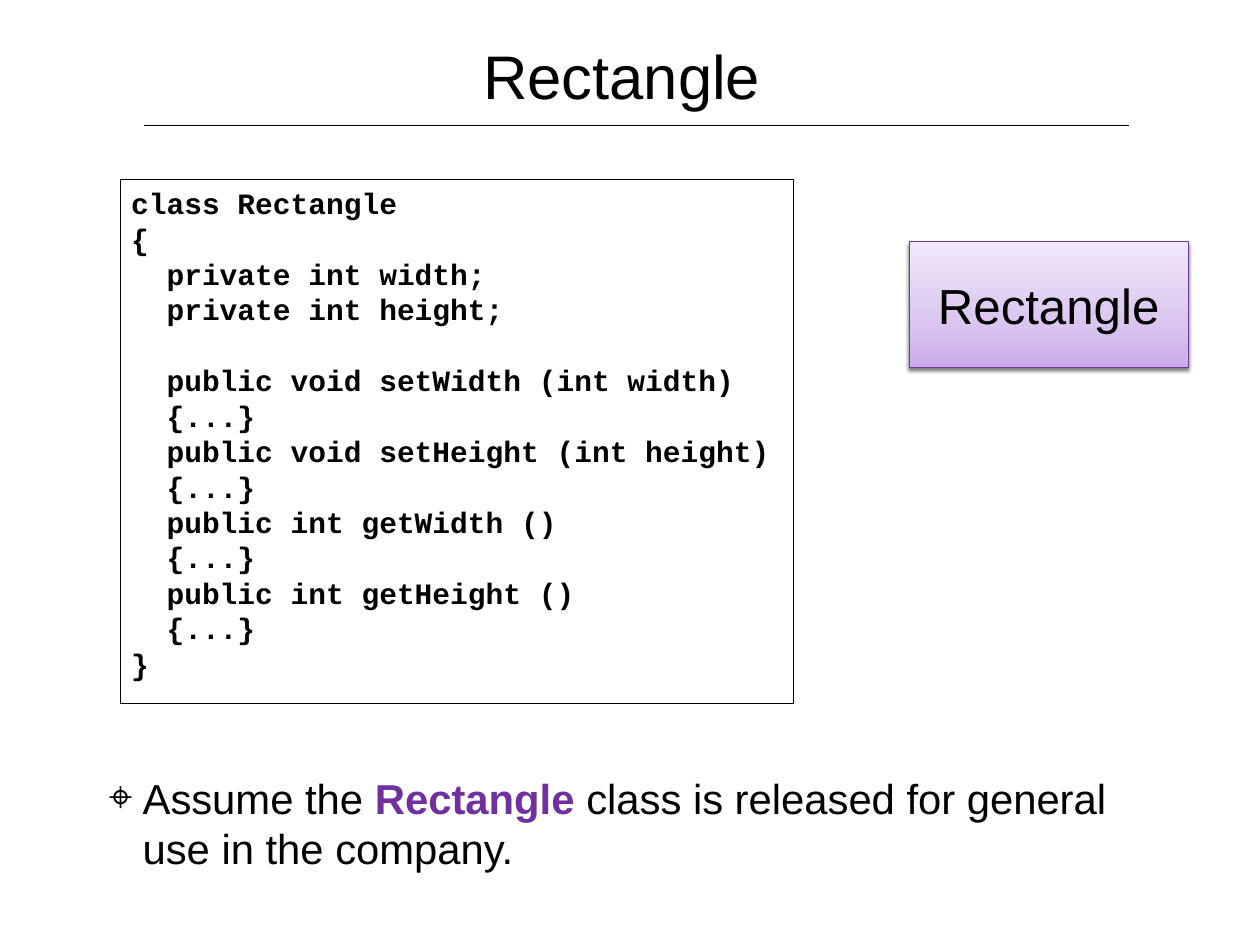
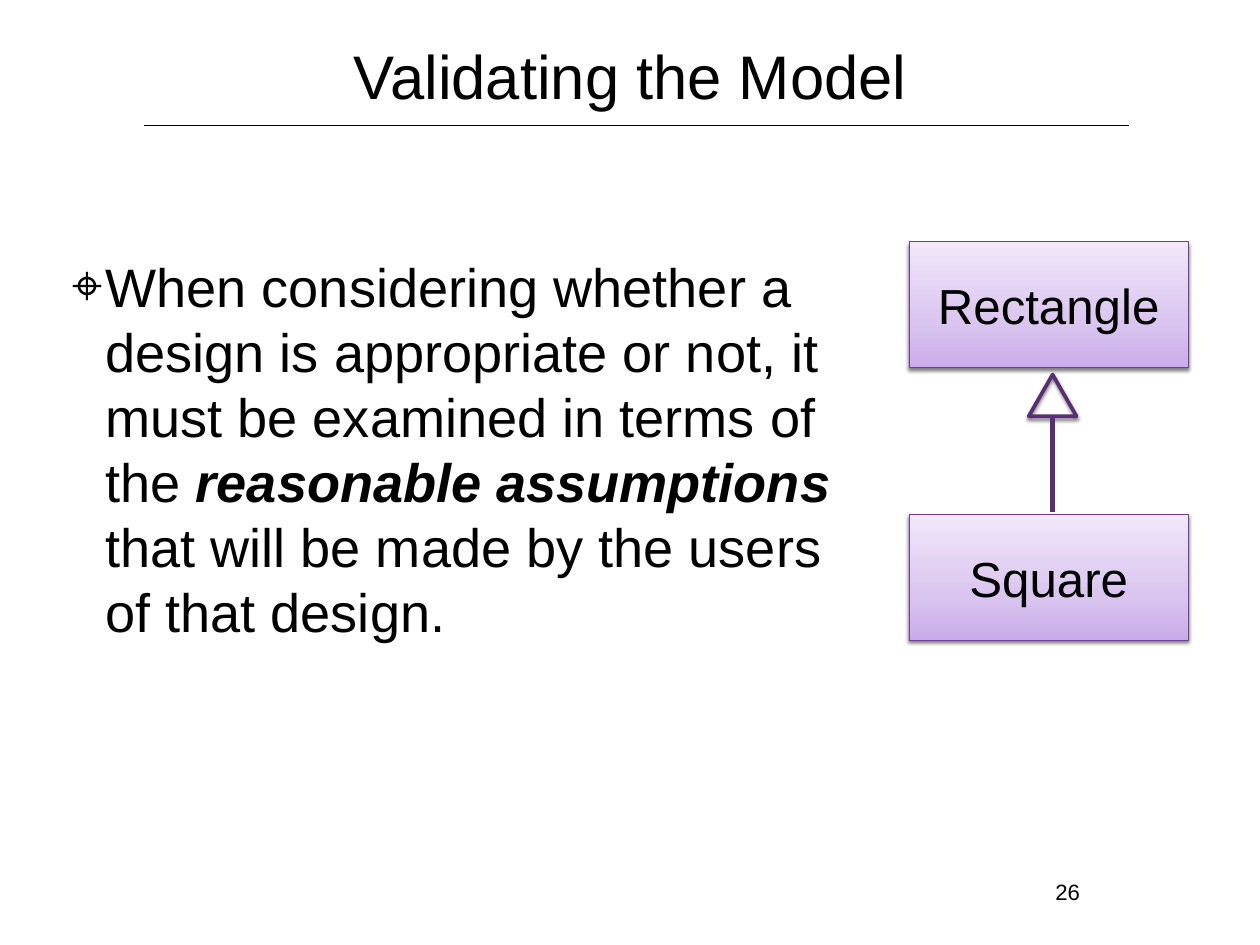
"""Two slides on a Rectangle class and on validating its design."""
from copy import deepcopy
from dataclasses import dataclass

from lxml.etree import SubElement
from pptx import Presentation
from pptx.dml.color import RGBColor
from pptx.enum.shapes import MSO_CONNECTOR, MSO_SHAPE
from pptx.enum.text import MSO_ANCHOR, MSO_AUTO_SIZE, PP_ALIGN
from pptx.oxml.ns import qn
from pptx.util import Inches, Pt


@dataclass(frozen=True)
class Theme:
    text_font: str = "Arial"
    code_font: str = "Courier New"
    black: RGBColor = RGBColor(0, 0, 0)
    accent: RGBColor = RGBColor.from_string("7030A0")
    class_border: RGBColor = RGBColor.from_string("753B9A")
    arrow: RGBColor = RGBColor.from_string("592F74")
    class_stops: tuple = ((0, "CAABEA"), (0.35, "D9C5EF"), (1, "F1E8FA"))
    title_size: int = 50
    class_size: int = 40
    code_size: int = 24
    number_size: int = 18
    line_factor: float = 1.2
    inset: float = 0.06


theme = Theme()


def format_text(frame, size, font=theme.text_font, align=PP_ALIGN.LEFT, bullet=None):
    frame.margin_left = frame.margin_right = Inches(theme.inset)
    frame.margin_top = frame.margin_bottom = Inches(theme.inset)
    frame.word_wrap = True
    frame.auto_size = MSO_AUTO_SIZE.NONE
    for paragraph in frame.paragraphs:
        if bullet:
            properties = paragraph._p.get_or_add_pPr()
            properties.set("marL", str(Inches(0.42)))
            properties.set("indent", str(Inches(-0.38)))
            bullet_color = SubElement(properties, qn("a:buClr"))
            SubElement(bullet_color, qn("a:srgbClr"), val=str(theme.black))
            SubElement(properties, qn("a:buChar"), char=bullet)
        paragraph.alignment = align
        paragraph.space_before = Pt(0)
        paragraph.line_spacing = Pt(size * theme.line_factor)
        paragraph.font.name = font
        paragraph.font.size = Pt(size)
        paragraph.font.color.rgb = theme.black


def add_shadow(shape):
    shape.shadow.inherit = False
    effects = shape.element.spPr.find(qn("a:effectLst"))
    shadow = SubElement(effects, qn("a:outerShdw"), blurRad=str(Pt(3)), dist=str(Pt(2)),
                        dir="5400000", rotWithShape="0")
    color = SubElement(shadow, qn("a:srgbClr"), val=str(theme.black))
    SubElement(color, qn("a:alpha"), val="50000")


prs = Presentation()
prs.slide_width, prs.slide_height = Inches(14.22), Inches(10.67)
layout = prs.slide_layouts[1]
title_area = layout.placeholders[0]
title_area.left, title_area.top = Inches(0.71), Inches(0)
title_area.width, title_area.height = Inches(12.81), Inches(1.69)

pages = [
    {
        "title": "Rectangle ",
        "statement": [("Assume the ", ""), ("Rectangle ", "accent"),
                      ("class is released for general use in the company.", "")],
        "statement_size": 34,
        "statement_place": (1.13, 8.66, 11.76, 1.42),
        "classes": [("Rectangle", 2.73)],
    },
    {
        "title": "Validating the Model",
        "statement": [("When considering whether a design is appropriate or not, it must be "
                       "examined in terms of the ", ""), ("reasonable assumptions ", "italic"),
                      ("that will be made by the users of that design.", "")],
        "statement_size": 44,
        "statement_place": (0.71, 2.8, 9.08, 4.55),
        "classes": [("Rectangle", 2.73), ("Square", 5.81)],
    },
]

slides = []
for page in pages:
    slide = prs.slides.add_slide(layout)
    slides.append(slide)

    title = slide.shapes.title
    title.text_frame.text = page["title"]
    title.text_frame.vertical_anchor = MSO_ANCHOR.MIDDLE
    format_text(title.text_frame, theme.title_size, align=PP_ALIGN.CENTER)

    statement = slide.placeholders[1]
    left, top, width, height = map(Inches, page["statement_place"])
    statement.left, statement.top = left, top
    statement.width, statement.height = width, height
    sentence = statement.text_frame.paragraphs[0]
    format_text(statement.text_frame, page["statement_size"], bullet="⌖")
    for words, emphasis in page["statement"]:
        run = sentence.add_run()
        run.text = words
        if emphasis:
            run.font.bold = True
        if emphasis == "italic":
            run.font.italic = True
        if emphasis == "accent":
            run.font.color.rgb = theme.accent

    for class_name, top in page["classes"]:
        class_box = slide.shapes.add_shape(
            MSO_SHAPE.RECTANGLE, Inches(10.26), Inches(top), Inches(3.15), Inches(1.42))
        class_box.fill.gradient()
        class_box.fill.gradient_angle = 90
        stop_list = class_box.element.spPr.find(".//" + qn("a:gsLst"))
        stop_list.insert(1, deepcopy(stop_list[0]))
        for stop, (position, color) in zip(class_box.fill.gradient_stops, theme.class_stops):
            stop.position = position
            stop.color.rgb = RGBColor.from_string(color)
        class_box.line.color.rgb = theme.class_border
        class_box.line.width = Pt(0.75)
        add_shadow(class_box)
        class_box.text_frame.text = class_name
        class_box.text_frame.vertical_anchor = MSO_ANCHOR.MIDDLE
        format_text(class_box.text_frame, theme.class_size, align=PP_ALIGN.CENTER)

rectangle_slide, model_slide = slides

title_rule = rectangle_slide.shapes.add_connector(
    MSO_CONNECTOR.STRAIGHT, Inches(1.62), Inches(1.42), Inches(12.74), Inches(1.42))
title_rule.line.color.rgb = theme.black
title_rule.line.width = Pt(1)
SubElement(title_rule.element.spPr, qn("a:effectLst"))
layout.shapes.element.append(title_rule.element)

code = """class Rectangle
{
  private int width;
  private int height;

  public void setWidth (int width)
  {...}
  public void setHeight (int height)
  {...}
  public int getWidth ()
  {...}
  public int getHeight ()
  {...}
}"""
listing = rectangle_slide.shapes.add_shape(
    MSO_SHAPE.RECTANGLE, Inches(1.36), Inches(2.03), Inches(7.6), Inches(5.91))
listing.shadow.inherit = False
listing.fill.background()
listing.line.color.rgb = theme.black
listing.line.width = Pt(1)
listing.text_frame.text = code
listing.text_frame.vertical_anchor = MSO_ANCHOR.TOP
format_text(listing.text_frame, theme.code_size, font=theme.code_font)
listing.text_frame.margin_left = Inches(2 * theme.inset)
for code_line in listing.text_frame.paragraphs:
    code_line.font.bold = True

arrowhead = model_slide.shapes.add_shape(
    MSO_SHAPE.ISOSCELES_TRIANGLE, Inches(11.61), Inches(4.23), Inches(0.54), Inches(0.47))
arrowhead.fill.background()
arrowhead.line.color.rgb = theme.arrow
arrowhead.line.width = Pt(3)
add_shadow(arrowhead)

inheritance = model_slide.shapes.add_connector(
    MSO_CONNECTOR.STRAIGHT, Inches(11.88), Inches(4.7), Inches(11.88), Inches(5.78))
inheritance.line.color.rgb = theme.arrow
inheritance.line.width = Pt(4.5)
SubElement(inheritance.element.spPr, qn("a:effectLst"))

page_number = model_slide.shapes.add_textbox(
    Inches(11.85), Inches(9.86), Inches(0.4), Inches(0.41))
page_number.text_frame.text = "26"
format_text(page_number.text_frame, theme.number_size, align=PP_ALIGN.CENTER)
page_number.text_frame.word_wrap = False

prs.save("out.pptx")
